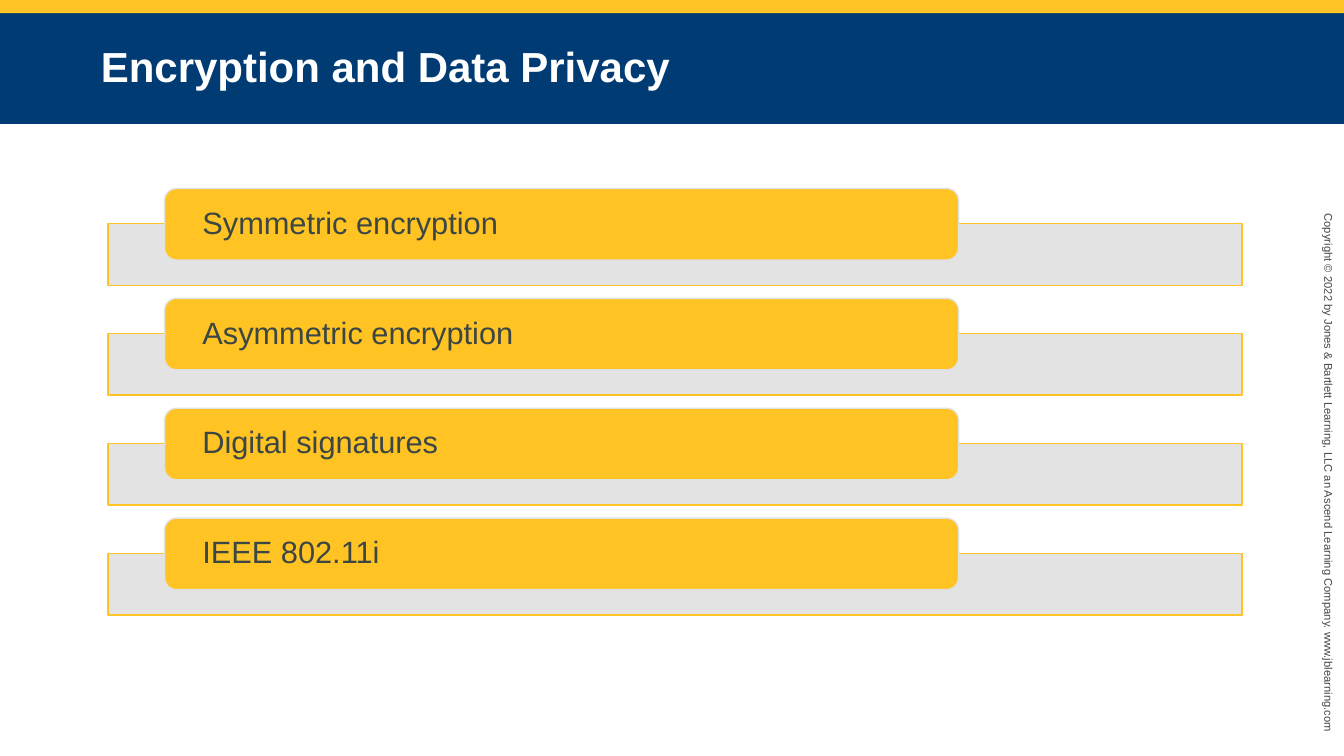
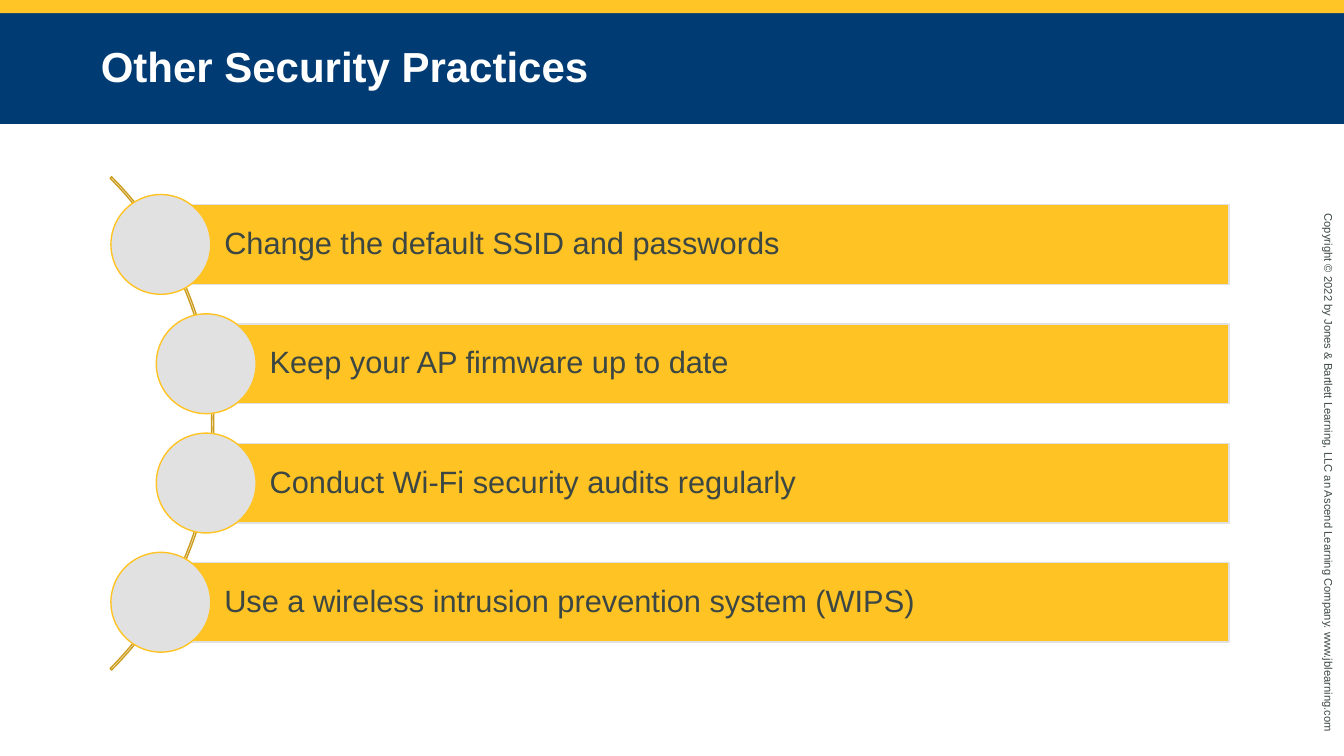
import collections
import pptx
import pptx.dml.color
import pptx.enum.shapes
import pptx.enum.text
import pptx.oxml.ns
import pptx.util
from lxml import etree

Inches = pptx.util.Inches
SHAPES = pptx.enum.shapes.MSO_SHAPE
Box = collections.namedtuple("Box", "left top width height")

FONT = "Arial"
COLOURS = {
    "gold": "FFC425",
    "amber": "FFC324",
    "arc": "CC9C1D",
    "navy": "003B74",
    "grey": "E1E1E1",
    "text": "3C4743",
    "white": "FFFFFF",
}
SLIDE = Box(0, 0, 13.33, 7.5)
STRIPE = Box(0, 0, 13.33, 0.13)
TITLE = Box(0, 0.13, 13.33, 1.1)
COPYRIGHT = Box(10.44, 4.64, 5.48, 0.24)
COPYRIGHT_TEXT = (
    "Copyright © 2022 by Jones & Bartlett Learning, LLC "
    "an Ascend Learning Company. www.jblearning.com"
)


def rgb(name):
    return pptx.dml.color.RGBColor.from_string(COLOURS[name])


def set_fill(shape, colour):
    shape.fill.solid()
    shape.fill.fore_color.rgb = rgb(colour)


def add_shape(slide, kind, box, fill=None, line=None):
    shape = slide.shapes.add_shape(kind, *map(Inches, box))
    shape.shadow.inherit = False
    if fill:
        set_fill(shape, fill)
    else:
        shape.fill.background()
    if line:
        shape.line.color.rgb = rgb(line)
        shape.line.width = pptx.util.Pt(1)
    else:
        shape.line.fill.background()
    return shape


def set_opacity(shape, percent):
    colour = shape.fill._xPr.find(".//" + pptx.oxml.ns.qn("a:srgbClr"))
    alpha = etree.SubElement(colour, pptx.oxml.ns.qn("a:alpha"))
    alpha.set("val", str(percent * 1000))


def write(shape, text, size, colour="text", bold=False, spacing=1.0,
          insets=(0.1, 0.05, 0.1, 0.05)):
    frame = shape.text_frame
    frame.text = text
    frame.word_wrap = True
    frame.auto_size = pptx.enum.text.MSO_AUTO_SIZE.NONE
    frame.vertical_anchor = pptx.enum.text.MSO_ANCHOR.MIDDLE
    frame.margin_left, frame.margin_top, frame.margin_right, frame.margin_bottom = map(
        Inches, insets)
    paragraph = frame.paragraphs[0]
    paragraph.alignment = pptx.enum.text.PP_ALIGN.LEFT
    paragraph.line_spacing = spacing
    font = paragraph.runs[0].font
    font.name = FONT
    font.size = pptx.util.Pt(size)
    font.bold = bold
    font.color.rgb = rgb(colour)


def add_titled_slide(presentation, title_text):
    slide = presentation.slides.add_slide(presentation.slide_layouts[5])
    add_shape(slide, SHAPES.RECTANGLE, STRIPE, "gold")

    copyright_line = slide.shapes.add_textbox(*map(Inches, COPYRIGHT))
    copyright_line.rotation = 90
    write(copyright_line, COPYRIGHT_TEXT, 8)

    title = slide.shapes.title
    title.left, title.top, title.width, title.height = map(Inches, TITLE)
    set_fill(title, "navy")
    write(title, title_text, 30, "white", True, 0.95, (1, 0.05, 1, 0.05))
    return slide


def add_tab_list(slide, box, items):
    tab_height, bar_height, bar_drop = 0.71, 0.61, 0.35
    pitch = (box.height - bar_drop - bar_height) / (len(items) - 1)
    for index, text in enumerate(items):
        top = box.top + index * pitch
        bar = add_shape(slide, SHAPES.RECTANGLE,
                        Box(box.left, top + bar_drop, box.width, bar_height),
                        "grey", "amber")
        set_opacity(bar, 90)
        tab = add_shape(slide, SHAPES.ROUNDED_RECTANGLE,
                        Box(box.left + 0.05 * box.width, top, 0.7 * box.width, tab_height),
                        "amber", "grey")
        write(tab, text, 22, spacing=0.9, insets=(0.34, 0, 0.34, 0))


def add_curved_list(slide, box, items):
    arc_size, arc_reach = 6.92, 1.02
    circle_size, bar_height, inner_shift = 0.99, 0.79, 0.45
    arc = add_shape(slide, SHAPES.BLOCK_ARC,
                    Box(box.left + arc_reach - arc_size,
                        box.top + (box.height - arc_size) / 2, arc_size, arc_size),
                    line="arc")
    for index, value in enumerate((189, 27, 0.003)):
        arc.adjustments[index] = value

    last = len(items) - 1
    pitch = (box.height - circle_size) / last
    for index, text in enumerate(items):
        top = box.top + index * pitch
        left = box.left + (inner_shift if 0 < index < last else 0)
        bar_left = left + circle_size / 2
        bar = add_shape(slide, SHAPES.RECTANGLE,
                        Box(bar_left, top + (circle_size - bar_height) / 2,
                            box.left + box.width - bar_left, bar_height),
                        "amber", "grey")
        write(bar, text, 22, spacing=0.9, insets=(0.63, 0.06, 0.06, 0.06))
        add_shape(slide, SHAPES.OVAL, Box(left, top, circle_size, circle_size),
                  "grey", "amber")


def main():
    presentation = pptx.Presentation()
    presentation.slide_width = Inches(SLIDE.width)
    presentation.slide_height = Inches(SLIDE.height)

    encryption = add_titled_slide(presentation, "Encryption and Data Privacy")
    add_tab_list(encryption, Box(1.07, 1.87, 11.25, 4.23), [
        "Symmetric encryption",
        "Asymmetric encryption",
        "Digital signatures",
        "IEEE 802.11i",
    ])

    practices = add_titled_slide(presentation, "Other Security Practices")
    add_curved_list(practices, Box(1.1, 1.93, 11.09, 4.54), [
        "Change the default SSID and passwords",
        "Keep your AP firmware up to date",
        "Conduct Wi-Fi security audits regularly",
        "Use a wireless intrusion prevention system (WIPS)",
    ])

    presentation.save("out.pptx")


if __name__ == "__main__":
    main()
